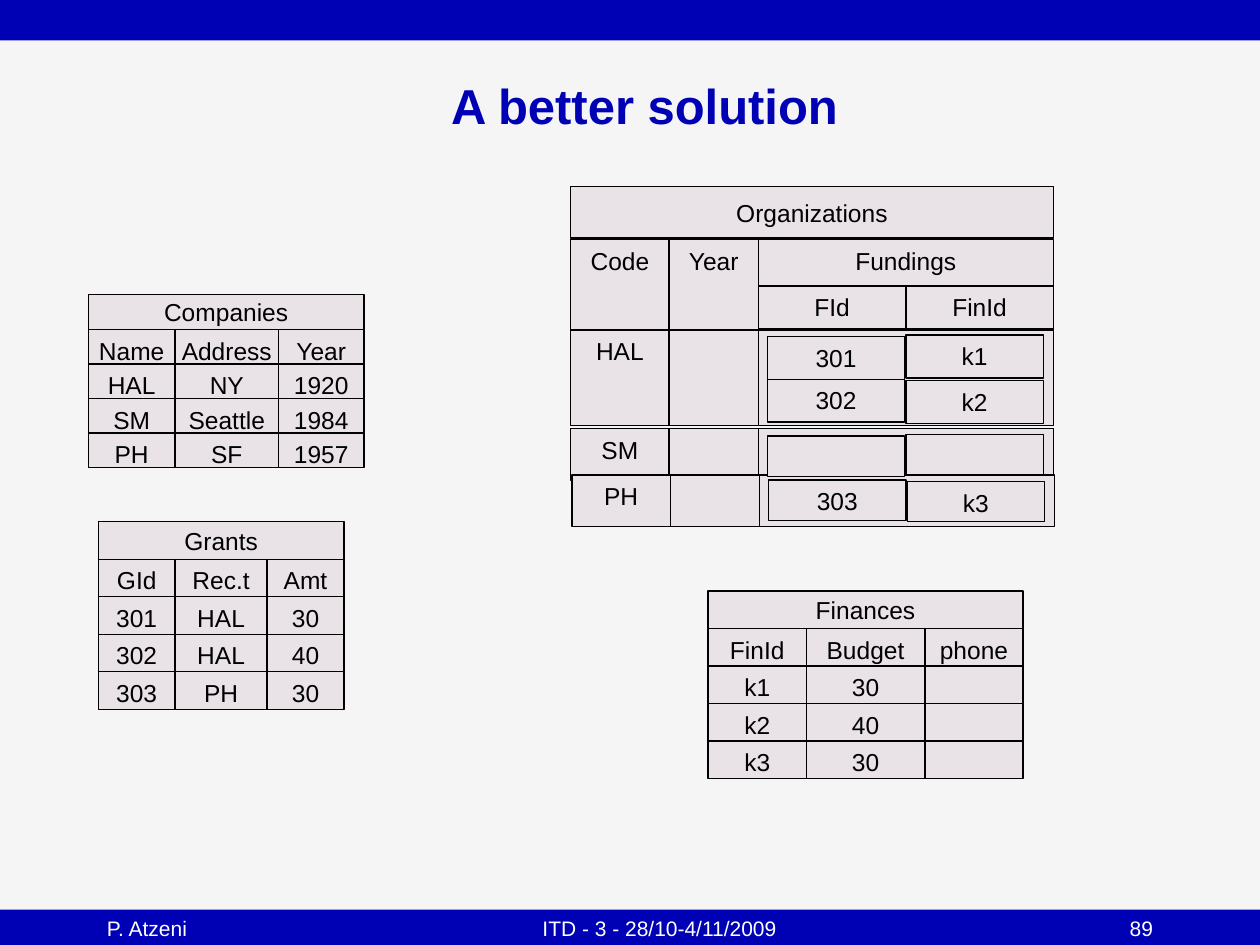
from pptx import Presentation
from pptx.dml.color import RGBColor
from pptx.enum.shapes import MSO_SHAPE
from pptx.enum.text import MSO_ANCHOR, PP_ALIGN
from pptx.util import Inches, Pt

BLUE = RGBColor(0x00, 0x00, 0xB4)
PAPER = RGBColor(0xF5, 0xF5, 0xF5)
CELL = RGBColor(0xE9, 0xE3, 0xE8)
BLACK = RGBColor(0x00, 0x00, 0x00)
WHITE = RGBColor(0xFF, 0xFF, 0xFF)

TITLE = "A better solution"
TITLE_FONT = {"name": "Arial", "size": Pt(28), "bold": True}
CELL_FONT = {"name": "Arial", "size": Pt(14), "bold": False}
FOOTER_FONT = {"name": "Arial", "size": Pt(12), "bold": False}

BARS = [(7.22, 0.28), (0, 0.32)]
FOOTERS = [
    ("P. Atzeni", 0.75, 2.52, PP_ALIGN.LEFT),
    ("ITD - 3 - 28/10-4/11/2009", 1.93, 6.61, PP_ALIGN.CENTER),
    ("89", 7.91, 1.34, PP_ALIGN.RIGHT),
]

RELATIONS = [
    {
        "name": "Companies", "left": 0.70, "top": 2.34, "height": 1.37,
        "widths": [0.69, 0.82, 0.68],
        "rows": [
            ("Name", "Address", "Year"),
            ("HAL", "NY", "1920"),
            ("SM", "Seattle", "1984"),
            ("PH", "SF", "1957"),
        ],
    },
    {
        "name": "Grants", "left": 0.78, "top": 4.14, "height": 1.49,
        "widths": [0.61, 0.73, 0.61],
        "rows": [
            ("GId", "Rec.t", "Amt"),
            ("301", "HAL", "30"),
            ("302", "HAL", "40"),
            ("303", "PH", "30"),
        ],
    },
    {
        "name": "Finances", "left": 5.62, "top": 4.69, "height": 1.49,
        "widths": [0.78, 0.94, 0.78],
        "rows": [
            ("FinId", "Budget", "phone"),
            ("k1", "30", ""),
            ("k2", "40", ""),
            ("k3", "30", ""),
        ],
    },
]

ORGANIZATION_LEFT = 4.53
ORGANIZATION_WIDTHS = [0.78, 0.71, 2.34]
ORGANIZATION_ROWS = [
    (4.53, 1.90, 0.72, ("Code", "Year", "Fundings")),
    (4.53, 2.62, 0.76, ("HAL", "", "")),
    (4.53, 3.40, 0.41, ("SM", "", "")),
    (4.54, 3.77, 0.41, ("PH", "", "")),
]
FUNDING_HEADERS = [("FId", 6.02), ("FinId", 7.19)]
FUNDINGS = [
    (6.09, 0.34, [("301", 2.67), ("k1", 2.66)]),
    (6.09, 0.34, [("302", 3.01), ("k2", 3.02)]),
    (6.09, 0.32, [("", 3.46), ("", 3.45)]),
    (6.10, 0.32, [("303", 3.81), ("k3", 3.82)]),
]
FUNDING_STEP = 1.10
FUNDING_WIDTH = 1.09


def write(shape, text, font, color, alignment):
    paragraph = shape.text_frame.paragraphs[0]
    paragraph.alignment = alignment
    run = paragraph.add_run()
    run.text = text
    for name, value in font.items():
        setattr(run.font, name, value)
    run.font.color.rgb = color


def add_rectangle(slide, left, top, width, height, fill):
    shape = slide.shapes.add_shape(
        MSO_SHAPE.RECTANGLE, Inches(left), Inches(top), Inches(width), Inches(height))
    shape.shadow.inherit = False
    shape.fill.solid()
    shape.fill.fore_color.rgb = fill
    shape.line.fill.background()
    return shape


def add_cell(slide, text, left, top, width, height, inset=0.02, anchor=MSO_ANCHOR.TOP):
    cell = add_rectangle(slide, left, top, width, height, CELL)
    cell.line.color.rgb = BLACK
    cell.line.width = Pt(0.75)
    frame = cell.text_frame
    frame.margin_left = frame.margin_right = Inches(inset)
    frame.vertical_anchor = anchor
    if text:
        write(cell, text, CELL_FONT, BLACK, PP_ALIGN.CENTER)


def add_heading(slide, text, left, top, width, height):
    add_cell(slide, text, left, top, width, height, 0.1, MSO_ANCHOR.MIDDLE)


def add_row(slide, texts, left, top, widths, height):
    for text, width in zip(texts, widths):
        add_cell(slide, text, left, top, width, height)
        left += width


def add_relation(slide, relation):
    left, top, widths = relation["left"], relation["top"], relation["widths"]
    height = relation["height"] / (len(relation["rows"]) + 1)
    add_heading(slide, relation["name"], left, top, sum(widths), height)
    for index, texts in enumerate(relation["rows"], 1):
        add_row(slide, texts, left, top + index * height, widths, height)


def add_organizations(slide):
    add_heading(slide, "Organizations", ORGANIZATION_LEFT, 1.48, sum(ORGANIZATION_WIDTHS), 0.41)
    for left, top, height, texts in ORGANIZATION_ROWS:
        add_row(slide, texts, left, top, ORGANIZATION_WIDTHS, height)
    for text, left in FUNDING_HEADERS:
        add_cell(slide, text, left, 2.27, 1.17, 0.34)
    for left, height, pair in FUNDINGS:
        for index, (text, top) in enumerate(pair):
            add_cell(slide, text, left + index * FUNDING_STEP, top, FUNDING_WIDTH, height, 0.1)


def main():
    presentation = Presentation()
    presentation.slide_width = Inches(10)
    presentation.slide_height = Inches(7.5)
    slide = presentation.slides.add_slide(presentation.slide_layouts[5])
    slide.background.fill.solid()
    slide.background.fill.fore_color.rgb = PAPER

    for top, height in BARS:
        add_rectangle(slide, 0, top, 10, height, BLUE)

    title = slide.shapes.title
    title.left, title.top = Inches(0.43), Inches(0.25)
    title.width, title.height = Inches(9.37), Inches(1.17)
    title.text_frame.vertical_anchor = MSO_ANCHOR.MIDDLE
    write(title, TITLE, TITLE_FONT, BLUE, PP_ALIGN.CENTER)

    for text, left, width, alignment in FOOTERS:
        footer = slide.shapes.add_textbox(
            Inches(left), Inches(7.22), Inches(width), Inches(0.28))
        footer.text_frame.word_wrap = True
        write(footer, text, FOOTER_FONT, WHITE, alignment)

    for relation in RELATIONS:
        add_relation(slide, relation)
    add_organizations(slide)
    presentation.save("out.pptx")


if __name__ == "__main__":
    main()
